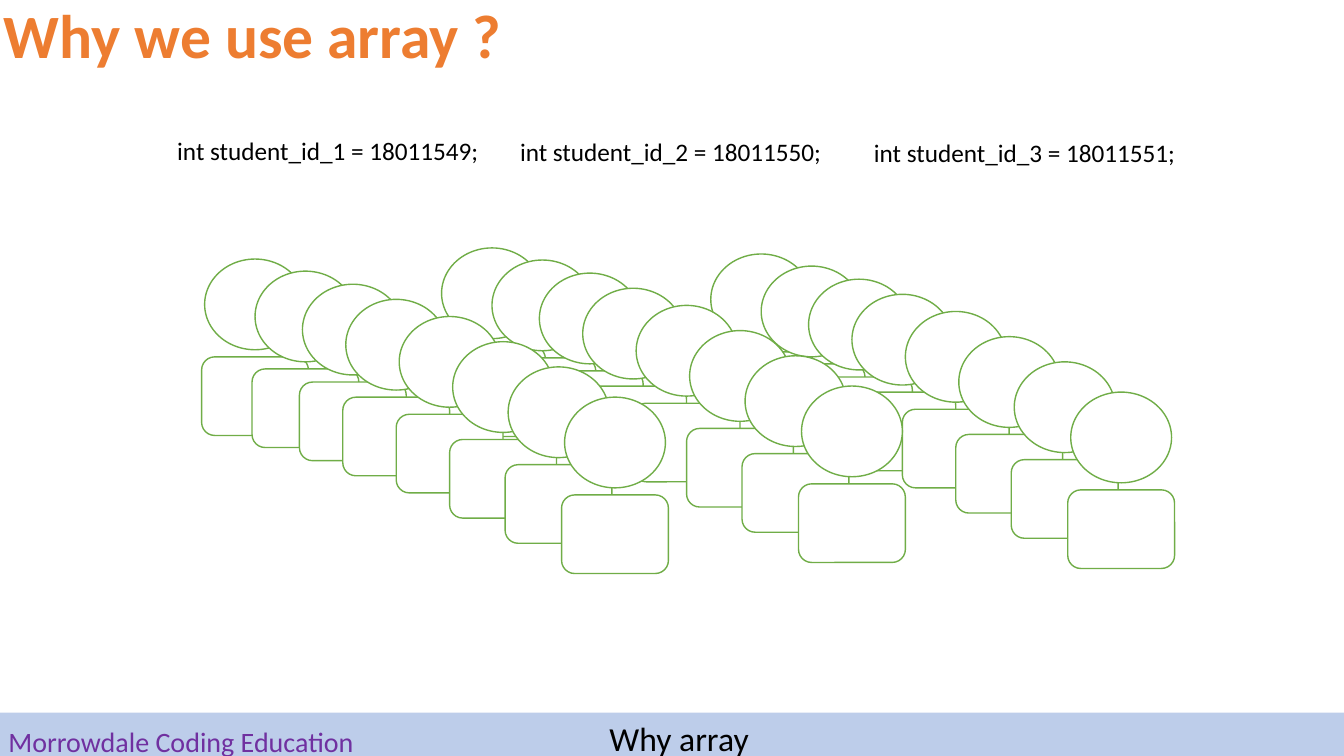
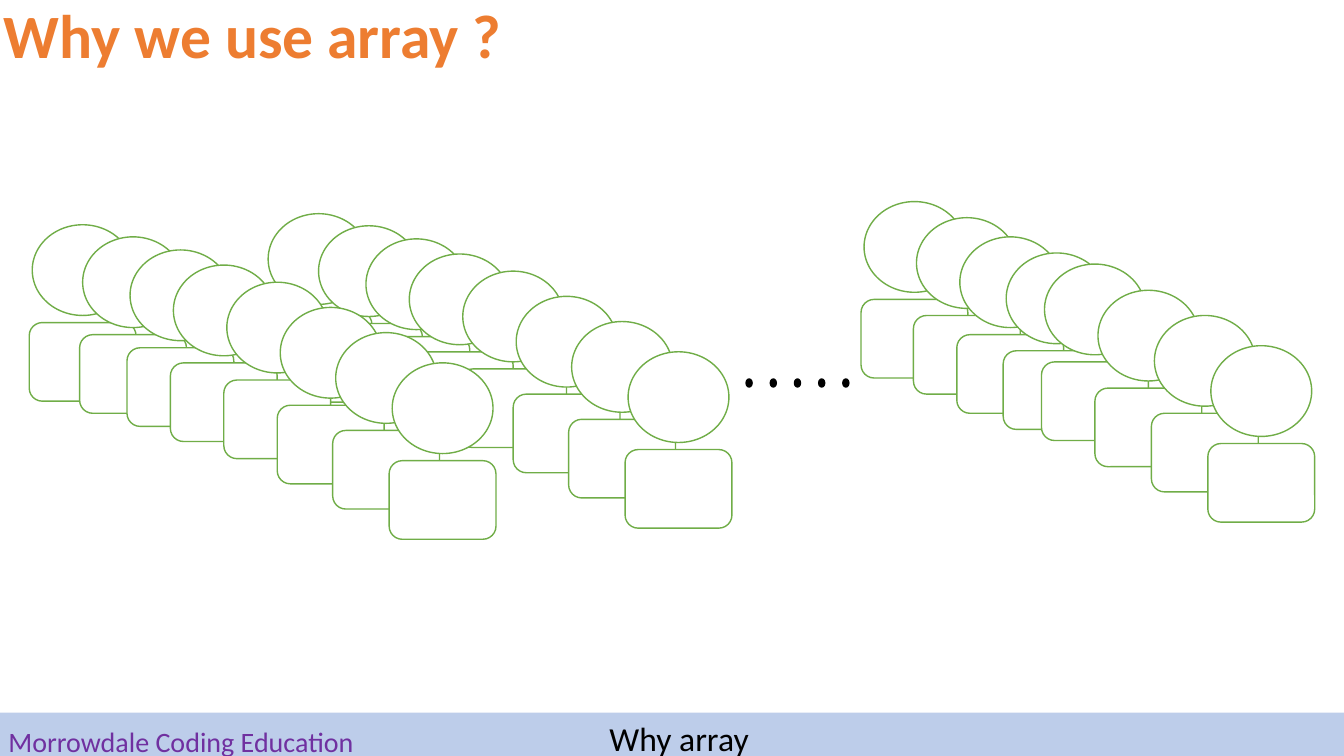
from dataclasses import dataclass
from lxml.etree import SubElement
from pptx import Presentation
from pptx.dml.color import RGBColor as RGB
from pptx.enum.shapes import MSO_SHAPE as SHAPE
from pptx.enum.text import MSO_ANCHOR as ANCHOR, MSO_AUTO_SIZE as FIT, PP_ALIGN as ALIGN
from pptx.oxml.ns import qn
from pptx.util import Inches, Pt


@dataclass(frozen=True)
class Theme:
    font: str = "Calibri"
    white: str = "FFFFFF"
    black: str = "000000"
    green: str = "70AD47"
    blue: str = "4472C4"
    orange: str = "ED7D31"
    purple: str = "7030A0"
    head: int = 44
    topic: int = 24
    brand: int = 20
    code: int = 18
    line: int = 1


T = Theme()

# Content: shared texts
HEAD = "Why we use array ?"
BRAND = "Morrowdale Coding Education"
TOPIC = "Why array"

# Queues: steps from the first student to each one, back to front
EVEN = [(0, 0), (0.5, 0.12), (0.97, 0.25), (1.4, 0.4),
        (1.93, 0.57), (2.46, 0.82), (3.01, 1.07), (3.57, 1.37)]
LAST = [(0, 0), (0.52, 0.16), (0.95, 0.35), (1.41, 0.51),
        (1.79, 0.62), (2.32, 0.88), (2.88, 1.13), (3.44, 1.43)]

# Content: queues as (left, top, steps), code as (left, top, text)
SLIDES = [
    {"rows": [(7.05, 2.52, EVEN), (4.38, 2.46, EVEN), (2.03, 2.57, EVEN)],
     "code": [(1.66, 1.29, "int student_id_1 = 18011549;"),
              (5.06, 1.3, "int student_id_2 = 18011550;"),
              (8.57, 1.31, "int student_id_3 = 18011551;")],
     "dots": 0},
    {"rows": [(8.57, 2, LAST), (2.66, 2.12, EVEN), (0.32, 2.23, EVEN)],
     "code": [],
     "dots": 5},
]


def color(code):
    return RGB.from_string(code)


def add_shape(shapes, kind, box, fill, line=None):
    item = shapes.add_shape(kind, *map(Inches, box))
    item.shadow.inherit = False
    item.fill.solid()
    item.fill.fore_color.rgb = color(fill)
    if line:
        item.line.color.rgb = color(line)
        item.line.width = Pt(T.line)
    else:
        item.line.fill.background()
    return item


def add_text(slide, box, text, size, tone, bold=False, align=ALIGN.CENTER,
             low=False, space=None, before=0):
    frame = slide.shapes.add_textbox(*map(Inches, box)).text_frame
    frame.word_wrap = True
    frame.auto_size = FIT.NONE
    frame.vertical_anchor = ANCHOR.BOTTOM if low else ANCHOR.TOP
    para = frame.paragraphs[0]
    para.alignment = align
    para.line_spacing = space
    para.space_before = Pt(before)
    run = para.add_run()
    run.text = text
    run.font.name = T.font
    run.font.size = Pt(size)
    run.font.bold = bold
    run.font.color.rgb = color(tone)


def add_frame(slide):
    # Footer band, footer texts and heading
    band = add_shape(slide.shapes, SHAPE.RECTANGLE, (-0.03, 7.07, 13.39, 0.5), T.blue)
    tint = band.fill._xPr.find(qn("a:solidFill"))[0]
    SubElement(tint, qn("a:alpha"), val="35000")
    add_text(slide, (-0.36, 7.43, 4.31, 0.14), BRAND, T.brand, T.purple,
             low=True, space=0.9)
    add_text(slide, (5.19, 7.12, 3.09, 0.51), TOPIC, T.topic, T.black,
             space=0.9, before=10)
    add_text(slide, (-0.17, 0, 5.36, 0.85), HEAD, T.head, T.orange,
             bold=True, space=0.9, before=10)


def add_student(slide, x, y):
    # Head above body
    parts = slide.shapes.add_group_shape().shapes
    add_shape(parts, SHAPE.OVAL, (x, y, 1, 0.9), T.white, T.green)
    add_shape(parts, SHAPE.ROUNDED_RECTANGLE, (x - 0.03, y + 0.97, 1.06, 0.78),
              T.white, T.green)


def build(deck, data):
    slide = deck.slides.add_slide(deck.slide_layouts[6])
    add_frame(slide)
    for x, y, steps in data["rows"]:
        for dx, dy in steps:
            add_student(slide, x + dx, y + dy)
    for x, y, text in data["code"]:
        add_text(slide, (x, y, 3.34, 0.4), text, T.code, T.black, align=ALIGN.LEFT)
    for i in range(data["dots"]):
        add_shape(slide.shapes, SHAPE.OVAL, (7.4 + 0.24 * i, 3.76, 0.06, 0.08),
                  T.black, T.black)


def main():
    deck = Presentation()
    deck.slide_width, deck.slide_height = Inches(13.33), Inches(7.5)
    for data in SLIDES:
        build(deck, data)
    deck.save("out.pptx")


if __name__ == "__main__":
    main()
